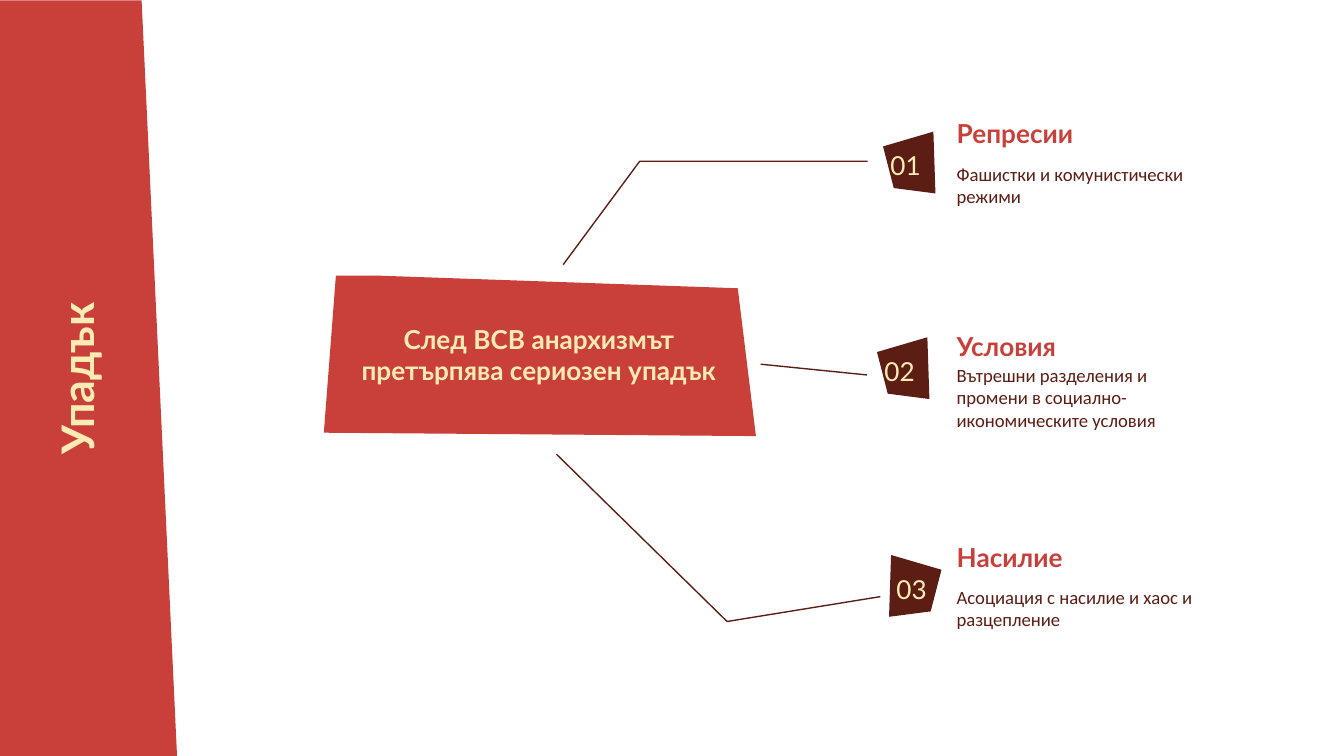
from pptx import Presentation
from pptx.dml.color import RGBColor
from pptx.enum.shapes import MSO_SHAPE
from pptx.enum.text import MSO_ANCHOR, PP_ALIGN
from pptx.util import Pt

PX = 4572  # EMU per px, 200 px to the inch
TOP, MIDDLE, BOTTOM = MSO_ANCHOR.TOP, MSO_ANCHOR.MIDDLE, MSO_ANCHOR.BOTTOM
LEFT, CENTER, RIGHT = PP_ALIGN.LEFT, PP_ALIGN.CENTER, PP_ALIGN.RIGHT

THEME = {
    "red": RGBColor.from_string("C9403B"),
    "maroon": RGBColor.from_string("5C1D14"),
    "cream": RGBColor.from_string("FCECB4"),
    # style: font, size, bold, colour
    "title": ("Lato", 24, True, "cream"),
    "message": ("Lato", 14, True, "cream"),
    "heading": ("Lato", 14, True, "red"),
    "number": ("Lato", 14, False, "cream"),
    "detail": ("Calibri", 10, False, "maroon"),
}

prs = Presentation()
prs.slide_width, prs.slide_height = 2000 * PX, 1125 * PX
slide = prs.slides.add_slide(prs.slide_layouts[6])
shapes = slide.shapes


def add_text(text, box, style, align=LEFT, anchor=MIDDLE):
    label = shapes.add_textbox(*(v * PX for v in box))
    frame = label.text_frame
    frame.word_wrap = True
    frame.vertical_anchor = anchor
    frame.margin_left = frame.margin_right = 20 * PX
    frame.margin_top = frame.margin_bottom = 20 * PX
    frame.text = text
    paragraph = frame.paragraphs[0]
    paragraph.alignment = align
    font = paragraph.runs[0].font
    name, size, font.bold, color = THEME[style]
    font.name, font.size = name, Pt(size)
    font.color.rgb = THEME[color]
    return label


def add_outline(points, color, closed=True):
    builder = shapes.build_freeform(*points[0], scale=PX)
    builder.add_line_segments(points[1:], close=closed)
    outline = builder.convert_to_shape()
    outline.shadow.inherit = False
    if closed:
        outline.fill.solid()
        outline.fill.fore_color.rgb = THEME[color]
        outline.line.fill.background()
    else:
        outline.fill.background()
        outline.line.color.rgb = THEME[color]
        outline.line.width = Pt(0.75)


# Side band with the turned title
band = shapes.add_shape(MSO_SHAPE.FLOWCHART_MANUAL_INPUT,
                        -431 * PX, 431 * PX, 1125 * PX, 264 * PX)
band.rotation = 90
band.shadow.inherit = False
band.fill.solid()
band.fill.fore_color.rgb = THEME["red"]
band.line.fill.background()
title = add_text("Упадък", (-442, 496, 1125, 134), "title", CENTER, TOP)
title.rotation = 270

# Central message
add_outline([(500, 410), (558, 410), (1098, 429), (1125, 649), (482, 644)], "red")
add_text("След ВСВ анархизмът претърпява сериозен упадък",
         (498, 520, 608, 74), "message", CENTER, BOTTOM)

# Causes: heading, detail, heading top, badge left and top, badge mirrored
causes = [
    ("Репресии", "Фашистки и комунистически режими", 168, 1314, 196, False),
    ("Условия", "Вътрешни разделения и промени в социално-икономическите условия",
     484, 1305, 502, False),
    ("Насилие", "Асоциация с насилие и хаос и разцепление", 798, 1323, 826, True),
]
BADGE_WIDTH = 78
badge_corners = [(0, 22), (75, 0), (BADGE_WIDTH, 92), (16, 84)]
for number, (heading, detail, top, badge_x, badge_y, mirrored) in enumerate(causes, 1):
    add_outline([(badge_x + (BADGE_WIDTH - x if mirrored else x), badge_y + y)
                 for x, y in badge_corners], "maroon")
    add_text(f"{number:02}", (badge_x - 50, badge_y + 28, 126, 44), "number", RIGHT)
    add_text(heading, (1404, top, 282, 74), "heading", anchor=BOTTOM)
    add_text(detail, (1404, top + 58, 390, 98), "detail")

# Lines from the message to each cause
for route in (
    [(838, 394), (952, 240), (1291, 240)],
    [(1132, 542), (1290, 558)],
    [(828, 676), (1082, 925), (1310, 888)],
):
    add_outline(route, "maroon", closed=False)

prs.save("out.pptx")
